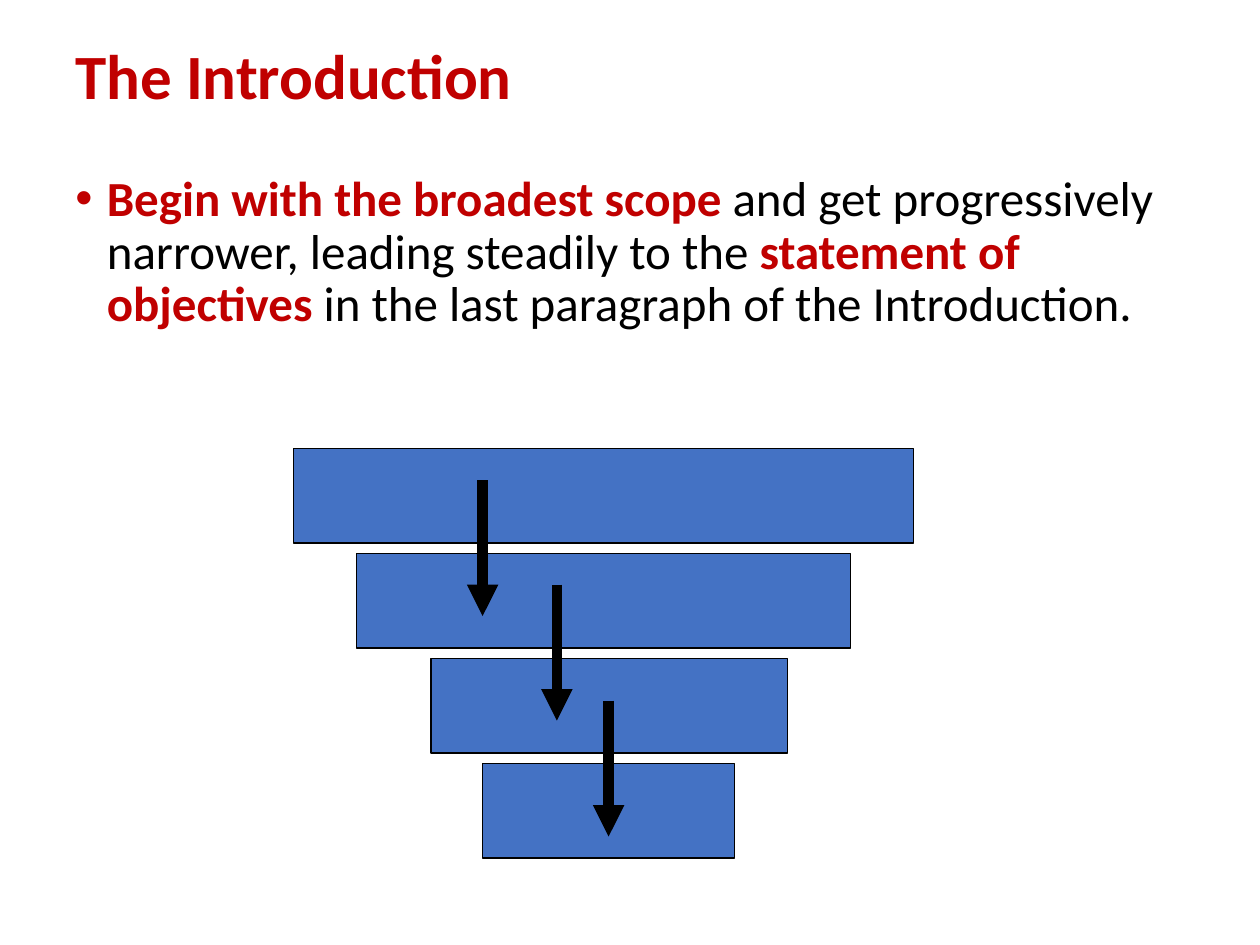
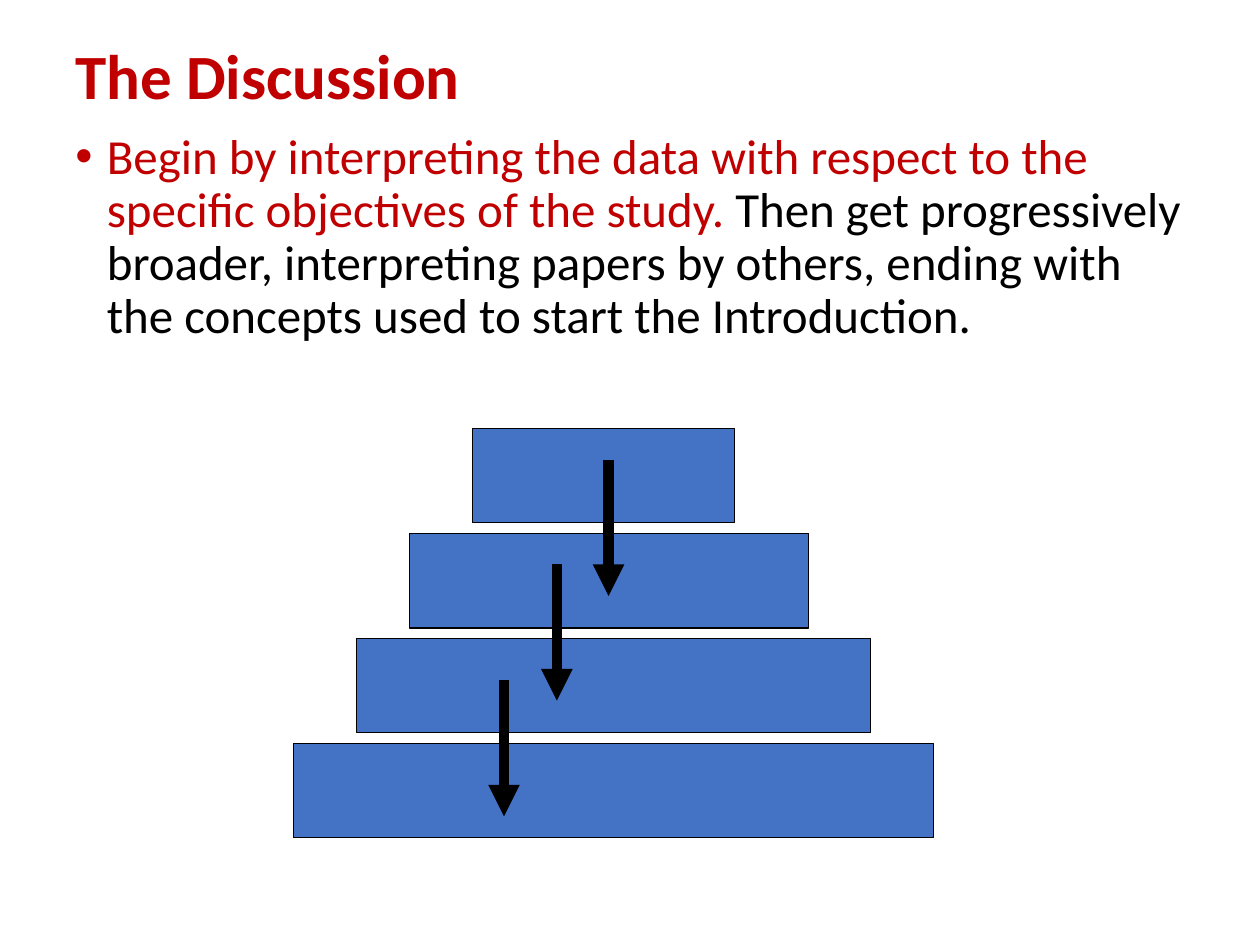
from lxml import etree
from pptx import Presentation
from pptx.dml.color import RGBColor
from pptx.enum.shapes import MSO_CONNECTOR, MSO_SHAPE
from pptx.enum.text import MSO_ANCHOR
from pptx.oxml.ns import qn
from pptx.util import Inches, Pt

FONT = "Calibri"
COLORS = {"accent": "C00000", "text": "000000", "bar": "4472C4", "line": "000000"}

# Runs are (text, colour, bold); bars are (left, width); arrows are x positions.
SLIDES = [
    {
        "title": "The Introduction",
        "body_top": 1.33,
        "body": [
            ("Begin with the broadest scope ", "accent", True),
            ("and get progressively narrower, leading steadily to the ", "text", False),
            ("statement of objectives", "accent", True),
            (" in the last paragraph of the Introduction.", "text", False),
        ],
        "stack_top": 3.56,
        "bars": [(2.33, 4.92), (2.83, 3.92), (3.42, 2.83), (3.83, 2)],
        "arrows": [3.83, 4.42, 4.83],
    },
    {
        "title": "The Discussion",
        "body_top": 1,
        "body": [
            ("Begin by interpreting the data with respect to the specific "
             "objectives of the study. ", "accent", False),
            ("Then get progressively broader, interpreting papers by others, ending "
             "with the concepts used to start the Introduction.", "text", False),
        ],
        "stack_top": 3.4,
        "bars": [(3.75, 2.08), (3.25, 3.17), (2.83, 4.08), (2.33, 5.08)],
        "arrows": [4.83, 4.42, 4],
    },
]

MARGIN, TEXT_W = 0.5, 9
TITLE_H, BODY_H = 1.25, 4.95
BAR_H, BAR_GAP = 0.75, 1 / 12
ARROW_OFFSETS = (0.25, 1.08, 2)  # below the top of the stack
ARROW_LEN = 1.08


def rgb(name):
    return RGBColor.from_string(COLORS[name])


def add_text(s, top, height, runs, size, anchor=MSO_ANCHOR.TOP, bullet=False):
    box = s.shapes.add_textbox(Inches(MARGIN), Inches(top), Inches(TEXT_W), Inches(height))
    tf = box.text_frame
    tf.word_wrap = True
    tf.vertical_anchor = anchor
    p = tf.paragraphs[0]
    p.line_spacing = 0.9
    if bullet:
        pPr = p._p.get_or_add_pPr()
        pPr.set("marL", str(Inches(0.25)))
        pPr.set("indent", str(Inches(-0.25)))
        etree.SubElement(pPr, qn("a:buFont")).set("typeface", "Arial")
        etree.SubElement(pPr, qn("a:buChar")).set("char", "•")
    for text, color, bold in runs:
        r = p.add_run()
        r.text = text
        r.font.name, r.font.size, r.font.bold = FONT, Pt(size), bold
        r.font.color.rgb = rgb(color)


def add_bar(s, left, top, width):
    bar = s.shapes.add_shape(MSO_SHAPE.RECTANGLE, Inches(left), Inches(top),
                             Inches(width), Inches(BAR_H))
    bar.shadow.inherit = False
    bar.fill.solid()
    bar.fill.fore_color.rgb = rgb("bar")
    bar.line.color.rgb = rgb("line")
    bar.line.width = Pt(0.75)


def add_down_arrow(s, x, top):
    arrow = s.shapes.add_connector(MSO_CONNECTOR.STRAIGHT, Inches(x), Inches(top),
                                   Inches(x), Inches(top + ARROW_LEN))
    arrow.line.color.rgb = rgb("line")
    arrow.line.width = Pt(6)
    etree.SubElement(arrow.line._get_or_add_ln(), qn("a:tailEnd")).set("type", "triangle")
    etree.SubElement(arrow._element.spPr, qn("a:effectLst"))


def build_slide(prs, content):
    s = prs.slides.add_slide(prs.slide_layouts[6])
    add_text(s, 0, TITLE_H, [(content["title"], "accent", True)], 36, MSO_ANCHOR.MIDDLE)
    add_text(s, content["body_top"], BODY_H, content["body"], 28, bullet=True)
    top = content["stack_top"]
    for i, (left, width) in enumerate(content["bars"]):
        add_bar(s, left, top + i * (BAR_H + BAR_GAP), width)
    for x, offset in zip(content["arrows"], ARROW_OFFSETS):
        add_down_arrow(s, x, top + offset)


def main():
    prs = Presentation()
    prs.slide_width, prs.slide_height = Inches(10), Inches(7.5)
    for content in SLIDES:
        build_slide(prs, content)
    prs.save("out.pptx")


if __name__ == "__main__":
    main()
